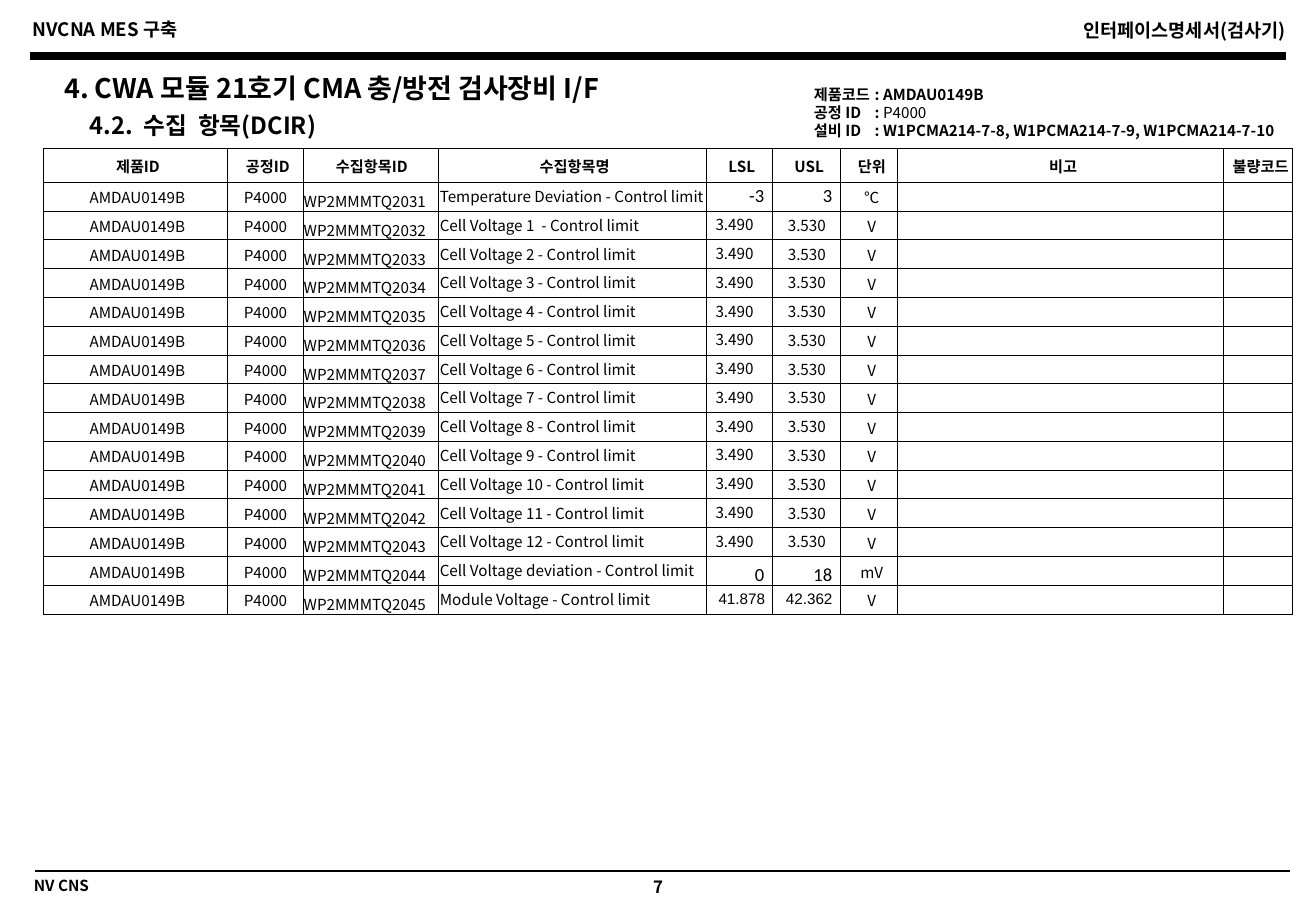
from dataclasses import dataclass
from lxml.etree import SubElement
from pptx import Presentation
from pptx.dml.color import RGBColor
from pptx.enum.shapes import MSO_CONNECTOR
from pptx.enum.text import MSO_ANCHOR, PP_ALIGN
from pptx.oxml.ns import qn
from pptx.util import Inches, Pt


@dataclass(frozen=True)
class Theme:
    ink: RGBColor = RGBColor(0, 0, 0)
    paper: RGBColor = RGBColor(255, 255, 255)
    font: str = "Noto Sans CJK KR"
    number_font: str = "Calibri"
    total_font: str = "Arial"
    title: int = 16
    subtitle: int = 14
    header: int = 11
    page_number: int = 10
    body: int = 9
    tight: float = 0.8


THEME = Theme()
LEFT, CENTER, RIGHT = PP_ALIGN.LEFT, PP_ALIGN.CENTER, PP_ALIGN.RIGHT
MIDDLE, BOTTOM = MSO_ANCHOR.MIDDLE, MSO_ANCHOR.BOTTOM


def write(para, text, size=THEME.body, bold=False, font=THEME.font,
          align=LEFT, spacing=1.0):
    """Add a formatted span to a paragraph."""
    para.alignment = align
    para.line_spacing = spacing
    span = para.add_run()
    span.text = text
    span.font.size, span.font.bold, span.font.name = Pt(size), bold, font
    span.font.color.rgb = THEME.ink
    SubElement(span.font._element, qn("a:ea"), typeface=font)


def add_box(page, box, wrap=True):
    frame = page.shapes.add_textbox(*map(Inches, box)).text_frame
    frame.word_wrap = wrap
    return frame


def add_label(page, box, text, wrap=True, **style):
    para = add_box(page, box, wrap).paragraphs[0]
    write(para, text, bold=True, spacing=THEME.tight, **style)


def add_rule(page, left, top, width, weight):
    rule = page.shapes.add_connector(
        MSO_CONNECTOR.STRAIGHT, Inches(left), Inches(top), Inches(left + width), Inches(top))
    rule.line.color.rgb = THEME.ink
    rule.line.width = Pt(weight)
    SubElement(rule._element.spPr, qn("a:effectLst"))


def add_header(page, box):
    left, top, width, height = box
    add_label(page, (left - 0.08, top, 4.15, 0.25), "NVCNA MES 구축", size=THEME.header)
    add_label(page, (left + width - 4.05, top + 0.01, 4.15, 0.25),
              "인터페이스명세서(검사기)", size=THEME.header, align=RIGHT)
    add_rule(page, left, top + height, width, 4.5)


def add_footer(page, box):
    left, top, width, height = box
    add_rule(page, left, top, width, 1)
    add_label(page, (left - 0.11, top + 0.02, 4.15, 0.22), "NV CNS")
    add_label(page, (left + 4.66, top + 0.03, 0.93, 0.24), "7",
              size=THEME.page_number, align=CENTER)


def add_titles(page, box):
    left, top, width, height = box
    add_label(page, (left, top, width, 0.32), "4. CWA 모듈 21호기 CMA 충/방전 검사장비 I/F",
              wrap=False, size=THEME.title)
    add_label(page, (left + 0.21, top + 0.32, 3.83, 0.29), "4.2.  수집  항목(DCIR)",
              size=THEME.subtitle)


def add_product_facts(page, box):
    facts = (("제품코드", "AMDAU0149B", True),
             ("공정 ID", "P4000", False),
             ("설비 ID", "W1PCMA214-7-8, W1PCMA214-7-9, W1PCMA214-7-10", True))
    frame = add_box(page, box)
    for index, (name, value, bold) in enumerate(facts):
        para = frame.add_paragraph() if index else frame.paragraphs[0]
        # Hanging indent lines up the colons
        indent = Inches(0.5)
        properties = para._p.get_or_add_pPr()
        properties.set("marL", str(indent))
        properties.set("indent", str(-indent))
        write(para, f"{name}\t: ", bold=True)
        write(para, value, bold=bold)


def draw_borders(cell):
    properties = cell._tc.get_or_add_tcPr()
    for index, side in enumerate(("lnL", "lnR", "lnT", "lnB")):
        line = SubElement(properties, qn(f"a:{side}"), w=str(Pt(0.5)))
        properties.insert(index, line)
        fill = SubElement(line, qn("a:solidFill"))
        SubElement(fill, qn("a:srgbClr"), val=str(THEME.ink))


def fill_cell(cell, text, inset=(0.04, 0.01, 0, 0), anchor=MIDDLE, **style):
    cell.margin_left, cell.margin_top, cell.margin_right, cell.margin_bottom = map(Inches, inset)
    cell.vertical_anchor = anchor
    cell.fill.solid()
    cell.fill.fore_color.rgb = THEME.paper
    draw_borders(cell)
    para = cell.text_frame.paragraphs[0]
    if text:
        write(para, text, **style)
    else:
        SubElement(para._p, qn("a:endParaRPr"), sz=str(THEME.body * 100))


# Cell formats of the table
THIN = (0.01, 0.01, 0.01, 0)
HEAD = dict(align=CENTER, bold=True)
PRODUCT = dict(align=CENTER, inset=(0.04, 0.01, 0.01, 0))
PROCESS = dict(align=CENTER, inset=THIN)
ITEM_ID = dict(anchor=BOTTOM, inset=(0, 0, 0, 0), spacing=THEME.tight)
ITEM_NAME = dict(inset=THIN, spacing=THEME.tight)
UNIT = dict(align=CENTER)
CELL_LSL = dict(align=CENTER, inset=(0, 0, 0.08, 0), spacing=THEME.tight)
CELL_USL = dict(align=CENTER, inset=THIN, spacing=THEME.tight)
DEVIATION = dict(align=RIGHT, inset=(0.07, 0, 0.07, 0), spacing=THEME.tight,
                 size=THEME.header, font=THEME.number_font)
LOW_DEVIATION = dict(DEVIATION, anchor=BOTTOM)
TOTAL = dict(align=CENTER, spacing=THEME.tight, font=THEME.total_font)

HEADINGS = ("제품ID", "공정ID", "수집항목ID ", "수집항목명", "LSL", "USL", "단위", "비고", "불량코드")
COLUMN_WIDTHS = (1.51, 0.63, 1.11, 2.2, 0.55, 0.56, 0.47, 2.68, 0.57)
FIRST_ITEM = 2031


def list_items():
    """Name, limits, unit and the formats of the two limits."""
    cells = [(f"Cell Voltage {number}{'  ' if number == 1 else ' '}- Control limit",
              "3.490", "3.530", "V", CELL_LSL, CELL_USL) for number in range(1, 13)]
    return [("Temperature Deviation - Control limit", "-3", "3", "℃", DEVIATION, DEVIATION),
            *cells,
            ("Cell Voltage deviation - Control limit", "0", "18", "mV",
             LOW_DEVIATION, LOW_DEVIATION),
            ("Module Voltage - Control limit", "41.878", "42.362", "V", TOTAL, TOTAL)]


def add_item_table(page, box):
    items = list_items()
    height, head_height = box[3], 0.28
    table = page.shapes.add_table(len(items) + 1, len(HEADINGS), *map(Inches, box)).table
    table.horz_banding = False
    for column, width in zip(table.columns, COLUMN_WIDTHS):
        column.width = Inches(width)
    for row in table.rows:
        row.height = Inches((height - head_height) / len(items))
    table.rows[0].height = Inches(head_height)

    for column, heading in enumerate(HEADINGS):
        fill_cell(table.cell(0, column), heading, **HEAD)
    for index, (name, low, high, unit, low_format, high_format) in enumerate(items):
        values = (("AMDAU0149B", PRODUCT), ("P4000", PROCESS),
                  (f"WP2MMMTQ{FIRST_ITEM + index}", ITEM_ID), (name, ITEM_NAME),
                  (low, low_format), (high, high_format), (unit, UNIT), ("", {}), ("", {}))
        for column, (text, style) in enumerate(values):
            fill_cell(table.cell(index + 1, column), text, **style)


def build_interface_page(deck):
    page = deck.slides.add_slide(deck.slide_layouts[6])
    add_footer(page, (0.29, 7.17, 10.33, 0.27))
    add_header(page, (0.25, 0.13, 10.33, 0.33))
    add_item_table(page, (0.36, 1.22, 10.28, 3.84))
    add_titles(page, (0.43, 0.59, 5.09, 0.61))
    add_product_facts(page, (6.6, 0.65, 4.49, 0.51))


deck = Presentation()
deck.slide_width, deck.slide_height = Inches(10.83), Inches(7.5)
build_interface_page(deck)
deck.save("out.pptx")
